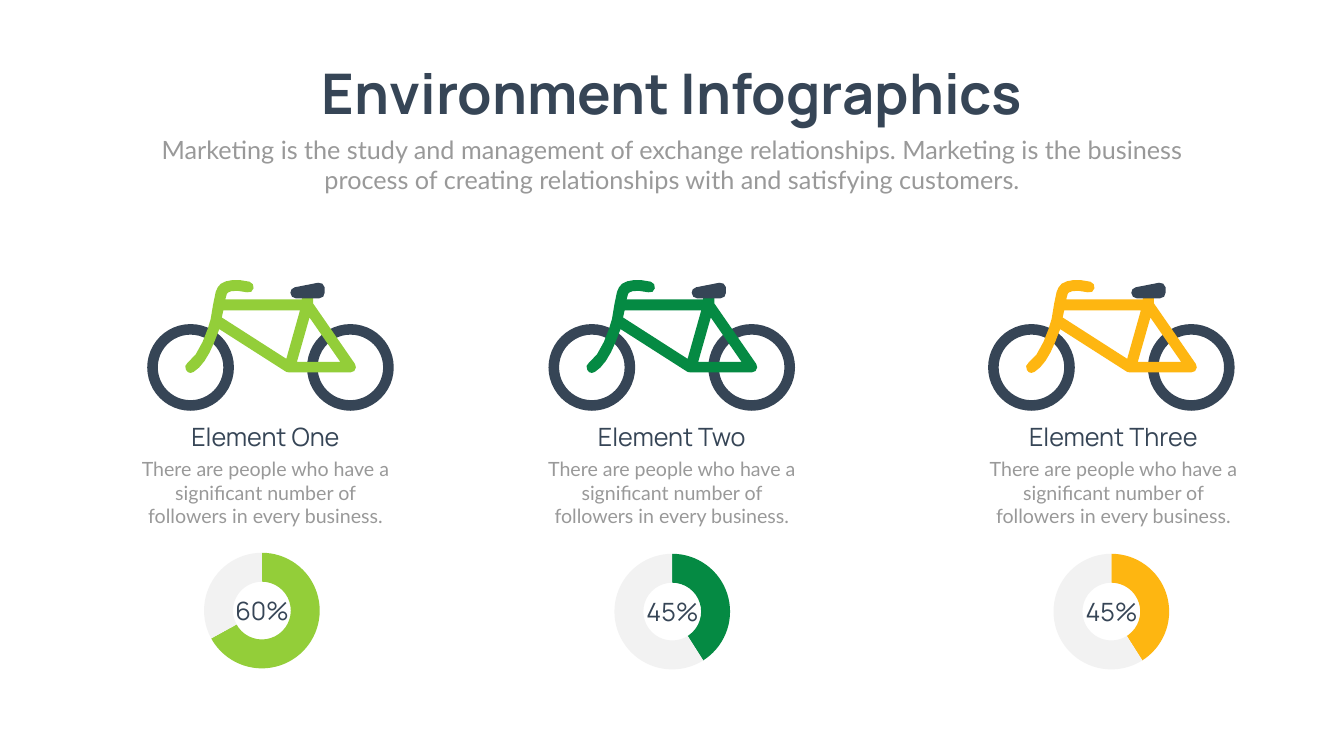
from dataclasses import dataclass
from math import dist

from pptx import Presentation
from pptx.chart.data import CategoryChartData
from pptx.dml.color import RGBColor
from pptx.enum.chart import XL_CHART_TYPE
from pptx.enum.shapes import MSO_SHAPE
from pptx.enum.text import MSO_ANCHOR, MSO_AUTO_SIZE, PP_ALIGN
from pptx.util import Emu, Pt

DOUGHNUT = XL_CHART_TYPE.DOUGHNUT
RING = MSO_SHAPE.DONUT
TOP = MSO_ANCHOR.TOP
GROW = MSO_AUTO_SIZE.SHAPE_TO_FIT_TEXT
CENTER = PP_ALIGN.CENTER

PX = 9144
TITLE_ONLY = 5
LONG_CURVE = 25


@dataclass(frozen=True)
class Theme:
    dark: str = "364556"
    grey: str = "999999"
    track: str = "F2F2F2"
    lime: str = "93CE39"
    green: str = "058A43"
    amber: str = "FEB611"
    heading: str = "Manrope"
    body: str = "Lato"
    chart: str = "Calibri"
    title_size: int = 80
    large_size: int = 36
    small_size: int = 28
    chart_size: int = 10


THEME = Theme()

FORMATS = {
    "title": {"name": THEME.heading, "size": Pt(THEME.title_size), "bold": True},
    "intro": {"name": THEME.body, "size": Pt(THEME.large_size)},
    "label": {"name": THEME.heading, "size": Pt(THEME.large_size)},
    "caption": {"name": THEME.body, "size": Pt(THEME.small_size)},
    "chart": {"name": THEME.chart, "size": Pt(THEME.chart_size)},
}

INTRO = (
    "Marketing is the study and management of exchange relationships. "
    "Marketing is the business process of creating relationships with "
    "and satisfying customers."
)
CAPTION = (
    "There are people who have a significant number of followers "
    "in every business."
)

ELEMENTS = [
    {"name": "Element One", "percent": "60%", "value": 67, "color": THEME.lime,
     "bike": (292, 556), "text": (271, 831), "chart": (382, 1083)},
    {"name": "Element Two", "percent": "45%", "value": 41, "color": THEME.green,
     "bike": (1088, 556), "text": (1077, 831), "chart": (1196, 1085)},
    {"name": "Element Three", "percent": "45%", "value": 41, "color": THEME.amber,
     "bike": (1960, 556), "text": (1953, 831), "chart": (2067, 1085)},
]

WHEEL_LEFTS = (0, 317)
WHEEL_TOP = 87
WHEEL_SIZE = 172
TYRE = 21

FRAME = [
    [(412, 166)], [(329, 46)], [(329, 25)],
    [(328, 19), (323, 14), (317, 14)], [(312, 15), (307, 19), (307, 25)],
    [(307, 38)], [(155, 38)], [(158, 27)],
    [(159, 24), (168, 17), (198, 24)], [(204, 26), (210, 22), (211, 16)],
    [(212, 10), (209, 5), (203, 3)], [(177, -3), (158, -1), (146, 7)],
    [(141, 11), (138, 17), (136, 23)], [(131, 47)], [(126, 77)],
    [(121, 97), (103, 150), (80, 164)], [(75, 167), (74, 173), (77, 178)],
    [(79, 182), (82, 184), (86, 184)], [(92, 182)],
    [(107, 173), (121, 153), (133, 123)], [(143, 97)],
    [(276, 182)], [(282, 183)], [(403, 183)],
    [(409, 183), (414, 179), (414, 173)],
]
FRAME_GAPS = [
    [(151, 60), (303, 60), (276, 156), (148, 74)],
    [(297, 162), (322, 74), (383, 162)],
]
SADDLE = [
    [(341, 36)], [(295, 36)], [(289, 36), (284, 31), (284, 25)],
    [(284, 20), (287, 15), (293, 14)], [(339, 5)],
    [(345, 4), (351, 8), (352, 14)], [(352, 25)],
    [(352, 31), (348, 36), (341, 36)],
]


def emu(*lengths):
    return [Emu(round(length * PX)) for length in lengths]


def format_font(font, style, color):
    for key, value in FORMATS[style].items():
        setattr(font, key, value)
    font.color.rgb = RGBColor.from_string(color)


def fill_solid(part, color):
    part.fill.solid()
    part.fill.fore_color.rgb = RGBColor.from_string(color)
    part.line.fill.background()


def write_text(box, text, style, color, wrap=True):
    frame = box.text_frame
    settings = {"word_wrap": wrap, "auto_size": GROW, "vertical_anchor": TOP}
    for key, value in settings.items():
        setattr(frame, key, value)
    para = frame.paragraphs[0]
    para.alignment = CENTER
    span = para.add_run()
    span.text = text
    format_font(span.font, style, color)


def add_text(page, area, text, style, color):
    write_text(page.shapes.add_textbox(*emu(*area)), text, style, color)


def trace(steps):
    points = [steps[0][0]]
    for step in steps[1:]:
        if len(step) == 1:
            points += step
            continue
        corners = [points[-1], *step]
        count = 4 if dist(corners[0], corners[-1]) > LONG_CURVE else 2
        for index in range(1, count + 1):
            t = index / count
            weights = ((1 - t) ** 3, 3 * t * (1 - t) ** 2, 3 * t * t * (1 - t), t ** 3)
            points.append(tuple(
                sum(weight * corner[axis] for weight, corner in zip(weights, corners))
                for axis in (0, 1)
            ))
    return points


def add_outline(group, origin, contours, color):
    placed = [
        [emu(origin[0] + x, origin[1] + y) for x, y in contour]
        for contour in contours
    ]
    builder = group.shapes.build_freeform(*placed[0][0], scale=1.0)
    for index, contour in enumerate(placed):
        if index:
            builder.move_to(*contour[0])
        builder.add_line_segments(contour[1:], close=True)
    shape = builder.convert_to_shape()
    shape.shadow.inherit = False
    fill_solid(shape, color)


def add_bike(page, origin, color):
    left, top = origin
    group = page.shapes.add_group_shape()
    for offset in WHEEL_LEFTS:
        area = emu(left + offset, top + WHEEL_TOP, WHEEL_SIZE, WHEEL_SIZE)
        wheel = group.shapes.add_shape(RING, *area)
        wheel.adjustments[0] = TYRE / WHEEL_SIZE
        wheel.shadow.inherit = False
        fill_solid(wheel, THEME.dark)
    add_outline(group, origin, [trace(FRAME), *FRAME_GAPS], color)
    add_outline(group, origin, [trace(SADDLE)], THEME.dark)


def add_description(page, origin, name):
    left, top = origin
    add_text(page, (left, top + 71, 511, 151), CAPTION, "caption", THEME.grey)
    add_text(page, (left, top, 511, 71), name, "label", THEME.dark)


def add_doughnut(page, origin, value, color, percent):
    left, top = origin
    chart_data = CategoryChartData()
    chart_data.categories = ["1", "2"]
    chart_data.add_series("Series 1", (value, 100 - value))
    holder = page.shapes.add_chart(DOUGHNUT, *emu(left, top, 275, 257), chart_data)
    chart = holder.chart
    chart.has_legend = False
    chart.has_title = False
    format_font(chart.font, "chart", THEME.grey)
    plot = chart.plots[0]
    plot.vary_by_categories = True
    for index, shade in enumerate((color, THEME.track)):
        fill_solid(plot.series[0].points[index].format, shade)
    for hole in chart.element.xpath(".//c:holeSize"):
        hole.set("val", "75")
    add_text(page, (left + 61, top + 93, 154, 71), percent, "label", THEME.dark)


def add_header(page):
    title = page.shapes.title
    title.left, title.top, title.width, title.height = emu(570, 112, 1527, 145)
    write_text(title, "Environment Infographics", "title", THEME.dark, wrap=False)
    add_text(page, (292, 261, 2082, 131), INTRO, "intro", THEME.grey)


def main():
    deck = Presentation()
    deck.slide_width, deck.slide_height = emu(2666, 1500)
    page = deck.slides.add_slide(deck.slide_layouts[TITLE_ONLY])
    add_header(page)
    for element in ELEMENTS:
        add_bike(page, element["bike"], element["color"])
        add_description(page, element["text"], element["name"])
        add_doughnut(page, element["chart"], element["value"],
                     element["color"], element["percent"])
    deck.save("out.pptx")


if __name__ == "__main__":
    main()
